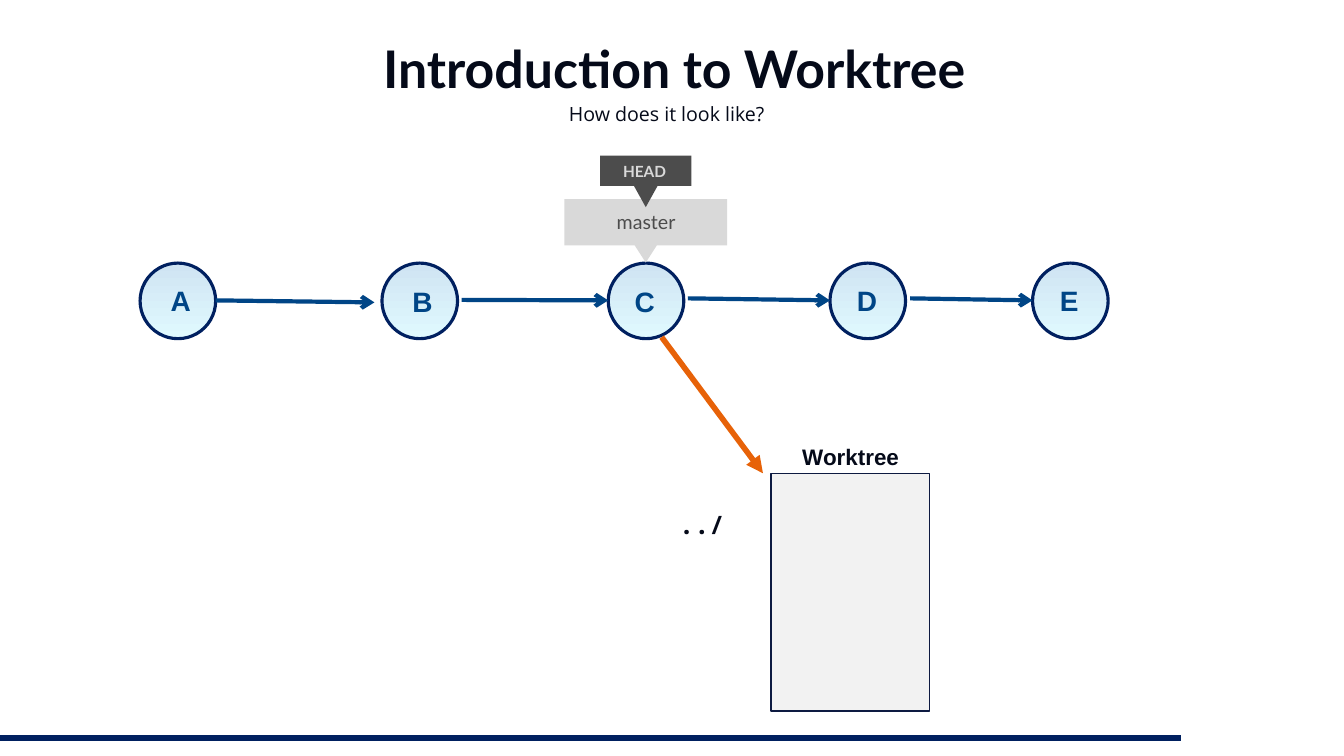
from lxml import etree
from pptx import Presentation
from pptx.dml.color import RGBColor
from pptx.enum.shapes import MSO_CONNECTOR, MSO_SHAPE
from pptx.enum.text import PP_ALIGN
from pptx.oxml.ns import qn
from pptx.util import Inches, Pt

COLUMNS, ROWS = 26.67, 15
CELL = Inches(1)
BLANK_LAYOUT = 6
CENTER, LEFT = PP_ALIGN.CENTER, PP_ALIGN.LEFT
STRAIGHT = MSO_CONNECTOR.STRAIGHT
OVAL, RECTANGLE = MSO_SHAPE.OVAL, MSO_SHAPE.RECTANGLE
CALLOUT = MSO_SHAPE.DOWN_ARROW_CALLOUT

INK, NAVY, BLUE, ORANGE = "050A19", "002060", "004586", "E76208"
DARK_GRAY, LIGHT_GRAY = "4C4C4C", "D9D9D9"
COMMIT_GRADIENT = ("CFE4F3", "E0F9FE")
COMMIT_TOP, COMMIT_SIZE = 5.22, 1.5


def color(value):
    return RGBColor.from_string(value)


def cells(*lengths):
    return [round(length * CELL) for length in lengths]


class SlideBuilder:
    def __init__(self, slide):
        self.slide = slide

    def text(self, box, words, size, font, fill, bold=False, align=CENTER, inset=(0.1, 0.05)):
        shape = self.slide.shapes.add_textbox(*cells(*box))
        frame = shape.text_frame
        frame.word_wrap = True
        frame.margin_left = frame.margin_right = cells(inset[0])[0]
        frame.margin_top = frame.margin_bottom = cells(inset[1])[0]
        paragraph = frame.paragraphs[0]
        paragraph.text = words
        paragraph.alignment = align
        paragraph.font.size = Pt(size)
        paragraph.font.name = font
        paragraph.font.bold = bold
        paragraph.font.color.rgb = color(fill)

    def shape(self, kind, box, fill, outline=None, width=0, adjustments=()):
        shape = self.slide.shapes.add_shape(kind, *cells(*box))
        shape.shadow.inherit = False
        for index, value in enumerate(adjustments):
            shape.adjustments[index] = value
        if isinstance(fill, tuple):
            shape.fill.gradient()
            shape.fill.gradient_angle = 270
            for stop, value in zip(shape.fill.gradient_stops, fill):
                stop.color.rgb = color(value)
        else:
            shape.fill.solid()
            shape.fill.fore_color.rgb = color(fill)
        if outline:
            shape.line.color.rgb = color(outline)
            shape.line.width = Pt(width)
        else:
            shape.line.fill.background()

    def line(self, start, end, stroke, width, arrowhead=None):
        connector = self.slide.shapes.add_connector(STRAIGHT, *cells(*start, *end))
        connector.line.color.rgb = color(stroke)
        connector.line.width = Pt(width)
        properties = connector._element.spPr
        if arrowhead:
            outline = properties.find(qn("a:ln"))
            etree.SubElement(outline, qn("a:tailEnd"), type=arrowhead)
        etree.SubElement(properties, qn("a:effectLst"))

    def commit(self, left):
        box = (left, COMMIT_TOP, COMMIT_SIZE, COMMIT_SIZE)
        self.shape(OVAL, box, COMMIT_GRADIENT, NAVY, 4.5)


def main():
    presentation = Presentation()
    presentation.slide_width, presentation.slide_height = cells(COLUMNS, ROWS)
    layout = presentation.slide_layouts[BLANK_LAYOUT]
    builder = SlideBuilder(presentation.slides.add_slide(layout))

    builder.text((1.88, 0.73, 23, 1.27), "Introduction to Worktree", 74, "Lato", INK, True, inset=(0, 0))
    builder.text((1.73, 2.03, 23, 0.49), "How does it look like?", 28, "Open Sans", INK, inset=(0, 0))

    commits = [
        ("A", 2.78, 3.18, 5.58),
        ("B", 7.58, 7.98, 5.6),
        ("C", 12.07, 12.39, 5.6),
        ("D", 16.47, 16.8, 5.58),
        ("E", 20.49, 20.81, 5.58),
    ]
    for letter, left, label_left, label_top in commits:
        builder.commit(left)
    for start, end in [
        ((4.28, 5.96), (7.43, 6)),
        ((9.16, 5.95), (12.07, 5.96)),
        ((13.65, 5.92), (16.47, 5.96)),
        ((18.06, 5.92), (20.49, 5.96)),
    ]:
        builder.line(start, end, BLUE, 6, "arrow")
    for letter, left, label_left, label_top in commits:
        builder.text((label_left, label_top, 0.81, 0.77), letter, 40, "Arial", BLUE, True)

    builder.shape(CALLOUT, (11.2, 3.95, 3.23, 1.26), LIGHT_GRAY,
                  adjustments=(0.348, 0.174, 0.27, 0.729))
    builder.shape(RECTANGLE, (15.3, 9.39, 3.15, 4.72), "F2F2F2", "0D1A41", 2)
    builder.shape(CALLOUT, (11.91, 3.09, 1.81, 1.02), DARK_GRAY,
                  adjustments=(0.5, 0.229, 0.412, 0.65))
    builder.text((11.76, 4.11, 2.12, 0.57), "master", 28, "Lato", DARK_GRAY)
    builder.text((11.73, 3.17, 2.12, 0.47), "HEAD", 22, "Lato", LIGHT_GRAY, True)

    builder.line((13.13, 6.69), (15.14, 9.39), ORANGE, 8, "triangle")
    builder.text((14.77, 8.75, 4.22, 0.64), "Worktree", 32, "Arial", INK, True)
    builder.text((13.38, 10.06, 1.29, 0.71), "../", 36, "Noto Sans Mono", INK, True, LEFT)
    builder.line((0, 14.64), (23.43, 14.64), NAVY, 7.75)

    presentation.save("out.pptx")


if __name__ == "__main__":
    main()
